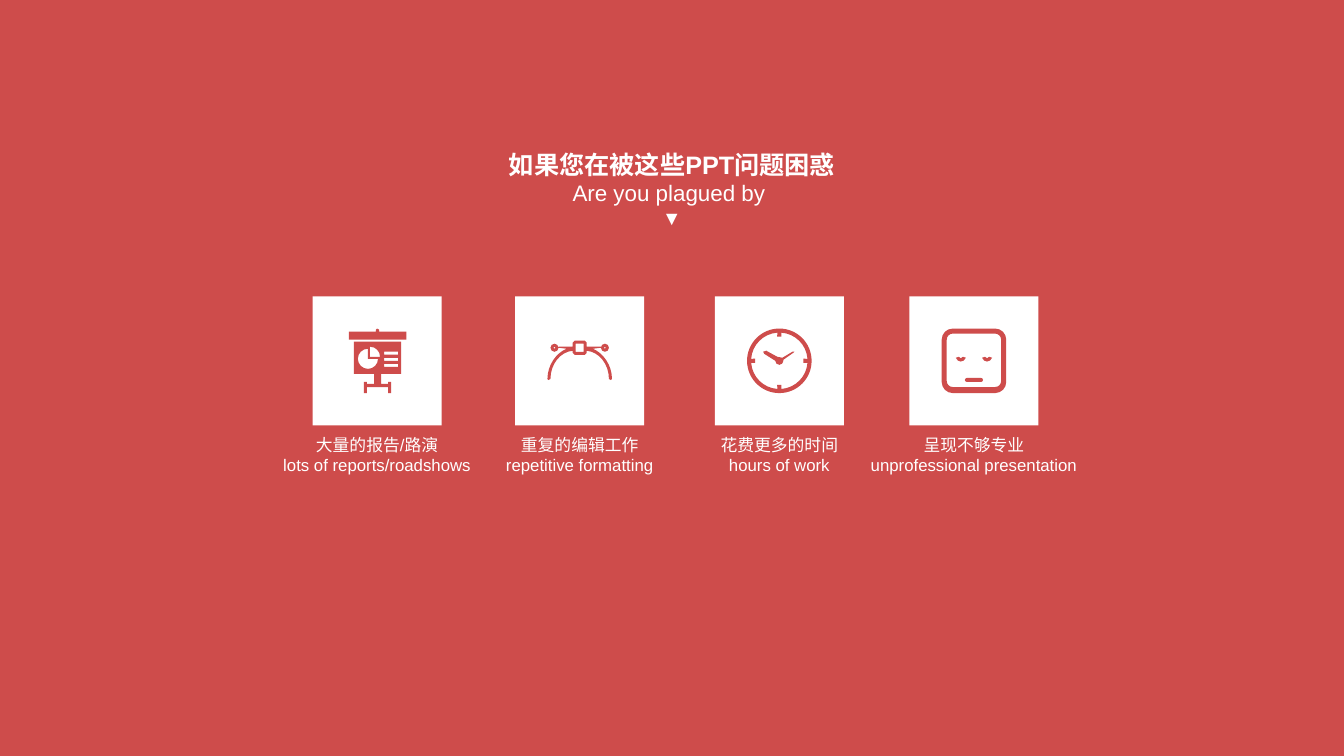
from copy import deepcopy
from dataclasses import dataclass
from math import ceil, cos, radians, sin, tan

from pptx import Presentation
from pptx.dml.color import RGBColor as RGB
from pptx.enum.shapes import MSO_SHAPE as SHAPE
from pptx.enum.text import MSO_AUTO_SIZE as FIT, PP_ALIGN as ALIGN
from pptx.oxml.ns import qn
from pptx.util import Inches, Pt


@dataclass(frozen=True)
class Theme:
    red: RGB = RGB(0xCE, 0x4C, 0x4B)
    white: RGB = RGB(0xFF, 0xFF, 0xFF)
    font: str = "Arial"
    title: int = 18
    subtitle: int = 16
    marker: int = 14
    caption: int = 12


CARD, CARD_TOP = 1.28, 2.94
MID = CARD / 2
CAPTION_TOP, CAPTION_H = 4.26, 0.5


# An outline is a list of segments: (end,) for a line, (control, control, end)
# for a curve. Points are in inches from the card's top left corner.
def line(*points):
    return [(pt,) for pt in points]


def rect(x, y, w, h):
    return line((x, y), (x + w, y), (x + w, y + h), (x, y + h))


def arc(cx, cy, r, start, end):
    """Curves along a circle; degrees run clockwise from the right."""
    count = ceil(abs(end - start) / 90)
    step = radians((end - start) / count)
    k = 4 / 3 * tan(step / 4)

    def at(a, pull=0):
        return cx + r * (cos(a) - pull * sin(a)), cy + r * (sin(a) + pull * cos(a))
    angles = [radians(start) + step * i for i in range(count)]
    return line(at(radians(start))) + [
        (at(a, k), at(a + step, -k), at(a + step)) for a in angles]


def circle(cx, cy, r):
    return arc(cx, cy, r, 0, 360)


def round_rect(x, y, w, h, r):
    corners = [(x + w - r, y + h - r), (x + r, y + h - r),
               (x + r, y + r), (x + w - r, y + r)]
    return [seg for i, (cx, cy) in enumerate(corners)
            for seg in arc(cx, cy, r, 90 * i, 90 * i + 90)]


def mirrored(half):
    """Close a right half into a whole outline about the card's middle."""
    def flip(*points):
        return tuple((CARD - x, y) for x, y in points)
    back = [flip(half[-1][-1])]
    for prev, seg in reversed(list(zip(half, half[1:]))):
        back.append(flip(*seg[-2::-1], prev[-1]) if len(seg) > 1 else flip(prev[-1]))
    return half + back


def board_icon():
    bars = [rect(0.71, y, 0.14, 0.03) for y in (0.55, 0.61, 0.67)]
    pie = line((0.55, 0.62)) + arc(0.55, 0.62, 0.1, 0, 270)
    pie_slice = line((0.57, 0.6)) + arc(0.57, 0.6, 0.1, -90, 0)
    board = line(
        (0.41, 0.45), (0.88, 0.45), (0.88, 0.77), (0.68, 0.77), (0.68, 0.87),
        (0.75, 0.87), (0.75, 0.85), (0.78, 0.85), (0.78, 0.96), (0.75, 0.96),
        (0.75, 0.9), (0.54, 0.9), (0.54, 0.96), (0.51, 0.96), (0.51, 0.85),
        (0.54, 0.85), (0.54, 0.87), (0.61, 0.87), (0.61, 0.77), (0.41, 0.77))
    rail = line((0.36, 0.35), (0.63, 0.35), (0.63, 0.33), (0.64, 0.32), (0.66, 0.33),
                (0.66, 0.35), (0.93, 0.35), (0.93, 0.43), (0.36, 0.43))
    return [board, *bars, pie, pie_slice, rail]


def curve_icon():
    half = (line((0.69, 0.44), (0.71, 0.46), (0.71, 0.5), (0.85, 0.5))
            + arc(0.89, 0.51, 0.04, 180, 540)
            + line((0.77, 0.52))
            + [((0.87, 0.56), (0.96, 0.68), (0.96, 0.82))]
            + line((0.95, 0.83), (0.93, 0.82))
            + [((0.93, 0.67), (0.83, 0.55), (0.71, 0.54))]
            + line((0.71, 0.56), (0.69, 0.58)))
    knobs = [circle(x, 0.51, 0.01) for x in (0.39, 0.89)]
    return [mirrored(half), rect(0.6, 0.47, 0.08, 0.08), *knobs]


def clock_icon():
    dial = []
    for a in range(0, 360, 90):
        dial += arc(MID, MID, 0.28, a + 4, a + 86)
        dial += [arc(MID, MID, 0.24, a + end, a + 90)[0] for end in (85, 95)]
    hands = (line((0.51, 0.54), (0.62, 0.6), (0.67, 0.61), (0.77, 0.55),
                  (0.79, 0.55), (0.78, 0.56), (0.68, 0.63))
             + arc(MID, MID, 0.04, 0, 180) + line((0.49, 0.57), (0.48, 0.55)))
    return [circle(MID, MID, 0.32), dial, hands]


def face_icon():
    def eye(x):
        return (line((x, 0.61), (x + 0.03, 0.6))
                + [((x + 0.04, 0.62), (x + 0.06, 0.62), (x + 0.07, 0.6))]
                + line((x + 0.1, 0.61))
                + [((x + 0.08, 0.66), (x + 0.02, 0.66), (x, 0.61))])
    return [round_rect(0.32, 0.32, 0.64, 0.64, 0.11),
            round_rect(0.37, 0.37, 0.54, 0.53, 0.06),
            round_rect(0.55, 0.81, 0.18, 0.04, 0.02), eye(0.46), eye(0.72)]


PROBLEMS = [
    (3.1, board_icon, 2.08, "大量的报告/路演", "lots of reports/roadshows"),
    (5.11, curve_icon, 1.68, "重复的编辑工作", "repetitive formatting"),
    (7.09, clock_icon, 1.38, "花费更多的时间", "hours of work"),
    (9.02, face_icon, 2.26, "呈现不够专业", "unprofessional presentation"),
]


class Deck:
    def __init__(self, theme):
        self.theme = theme
        self.prs = Presentation()
        self.prs.slide_width, self.prs.slide_height = Inches(13.33), Inches(7.5)
        self.slide = self.prs.slides.add_slide(self.prs.slide_layouts[6])
        bg = self.slide.background.fill
        bg.solid()
        bg.fore_color.rgb = theme.red

    def paint(self, sp, color):
        sp.shadow.inherit = False
        sp.fill.solid()
        sp.fill.fore_color.rgb = color
        sp.line.fill.background()

    def card(self, x, y):
        sp = self.slide.shapes.add_shape(
            SHAPE.RECTANGLE, Inches(x), Inches(y), Inches(CARD), Inches(CARD))
        self.paint(sp, self.theme.white)

    def icon(self, x, y, outlines):
        """Draw all outlines as one shape, so inner ones cut holes."""
        def place(pt):
            return Inches(x + pt[0]), Inches(y + pt[1])
        fb = self.slide.shapes.build_freeform(*place(outlines[0][0][-1]))
        for i, (first, *rest) in enumerate(outlines):
            if i:
                fb.move_to(*place(first[-1]))
            fb.add_line_segments([place(seg[-1]) for seg in rest], close=True)
        sp = fb.convert_to_shape()
        segments = [seg for outline in outlines for seg in outline[1:]]
        for ln, seg in zip(list(sp._element.iter(qn("a:lnTo"))), segments):
            if len(seg) == 3:
                self.bend(sp, ln, [place(pt) for pt in seg[:2]])
        self.paint(sp, self.theme.red)

    def bend(self, sp, ln, controls):
        """Turn a straight segment into a cubic curve."""
        ln.tag = qn("a:cubicBezTo")
        for i, (x, y) in enumerate(controls):
            pt = deepcopy(ln[-1])
            pt.set("x", str(x - sp.left))
            pt.set("y", str(y - sp.top))
            ln.insert(i, pt)

    def text(self, box, lines, wrap=False):
        """Add centred lines, each given as (text, size, bold)."""
        sp = self.slide.shapes.add_textbox(*map(Inches, box))
        tf = sp.text_frame
        tf.word_wrap, tf.auto_size = wrap, FIT.SHAPE_TO_FIT_TEXT
        for i, (text, size, bold) in enumerate(lines):
            p = tf.add_paragraph() if i else tf.paragraphs[0]
            p.alignment = ALIGN.CENTER
            r = p.add_run()
            r.text = text
            style = {"name": self.theme.font, "size": Pt(size), "bold": bold}
            for key, value in style.items():
                setattr(r.font, key, value)
            r.font.color.rgb = self.theme.white


def main():
    theme = Theme()
    deck = Deck(theme)
    for left, icon, width, chinese, english in PROBLEMS:
        deck.card(left, CARD_TOP)
        deck.icon(left, CARD_TOP, icon())
        deck.text((left + MID - width / 2, CAPTION_TOP, width, CAPTION_H),
                  [(words, theme.caption, False) for words in (chinese, english)])
    deck.text((4.93, 1.43, 3.47, 0.94),
              [("如果您在被这些PPT问题困惑", theme.title, True),
               ("Are you plagued by ", theme.subtitle, False),
               ("▼", theme.marker, False)], wrap=True)
    deck.prs.save("out.pptx")


if __name__ == "__main__":
    main()
